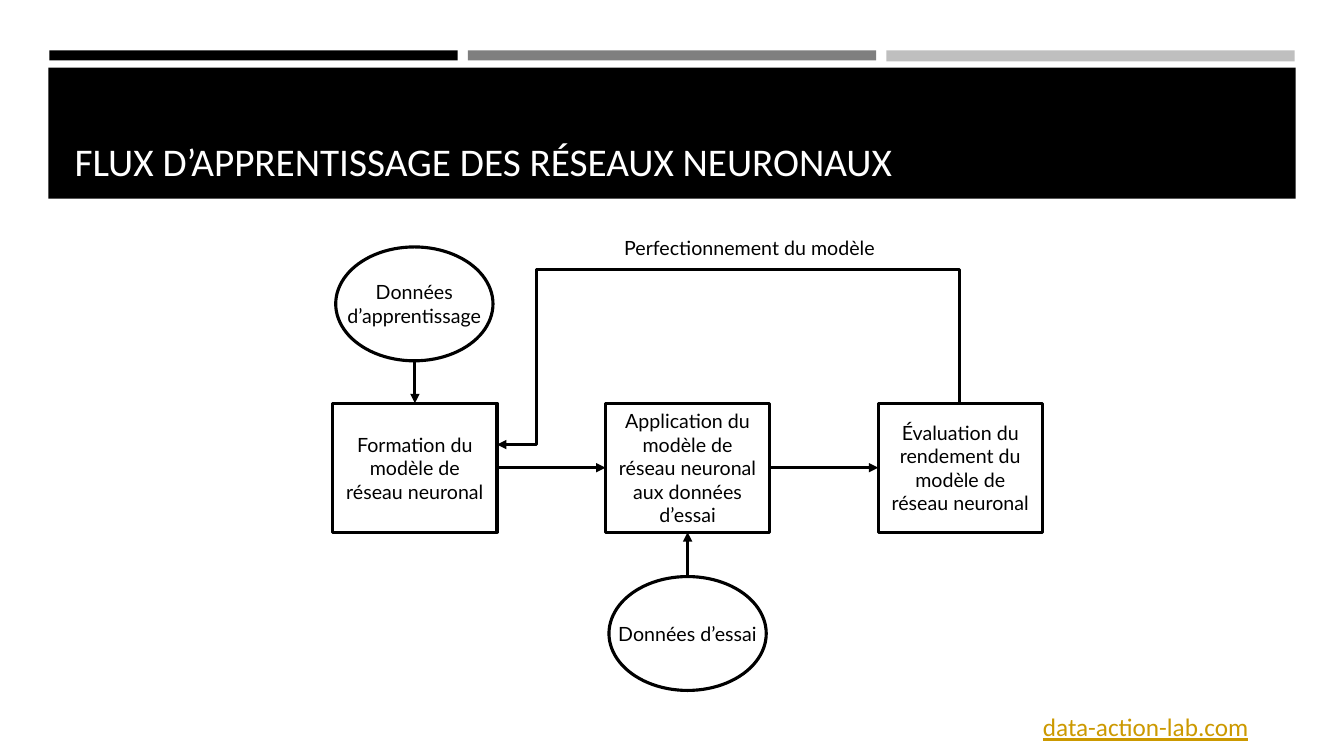
from lxml import etree
from pptx import Presentation
from pptx.dml.color import RGBColor
from pptx.enum import shapes, text
from pptx.oxml import ns
from pptx.util import Inches, Pt


def paint(target, color):
    if hasattr(target, "solid"):
        target.solid()
        target.fore_color.rgb = RGBColor.from_string(color)
    else:
        target.rgb = RGBColor.from_string(color)


def style_arrow(arrow):
    paint(arrow.line.fill, "000000")
    arrow.line.width = Pt(2.25)
    properties = arrow._element.spPr
    line = properties.find(ns.qn("a:ln"))
    etree.SubElement(line, ns.qn("a:tailEnd"), type="triangle")
    etree.SubElement(properties, ns.qn("a:effectLst"))


deck = Presentation()
deck.slide_width = Inches(13.33)
deck.slide_height = Inches(7.5)
page = deck.slides.add_slide(deck.slide_layouts[5])
tree = page.shapes

banner = [
    (0.49, 0.5, 4.05, 0.1, "000000"),
    (4.64, 0.5, 4.05, 0.1, "7F7F7F"),
    (8.79, 0.5, 4.05, 0.11, "BFBFBF"),
    (0.48, 0.67, 12.37, 1.3, "000000"),
]
for left, top, width, height, color in banner:
    bar = tree.add_shape(shapes.MSO_SHAPE.RECTANGLE, Inches(left), Inches(top),
                         Inches(width), Inches(height))
    bar.shadow.inherit = False
    paint(bar.fill, color)
    bar.line.fill.background()

title = tree.title
bar._element.addnext(title._element)
title.left, title.top = Inches(0.64), Inches(0.77)
title.width, title.height = Inches(12.06), Inches(1.11)
title.text_frame.text = "FLUX D’APPRENTISSAGE DES RÉSEAUX NEURONAUX"
title.text_frame.vertical_anchor = text.MSO_ANCHOR.BOTTOM

site = tree.add_textbox(Inches(9.88), Inches(7.01), Inches(2.6), Inches(0.4))
site.text_frame.word_wrap = True
site.text_frame.text = "data-action-lab.com"

caption = tree.add_textbox(Inches(5.12), Inches(2.29), Inches(4.63), Inches(0.34))
caption.text_frame.word_wrap = True
caption.text_frame.text = "Perfectionnement du modèle"

labels = [
    (title, 28, "Calibri", "FFFFFF", text.PP_ALIGN.LEFT),
    (site, 18, "Calibri", "CC9900", text.PP_ALIGN.RIGHT),
    (caption, 14, "Lato", "000000", text.PP_ALIGN.CENTER),
]

steps = [
    "Formation du modèle de réseau neuronal",
    "Application du modèle de réseau neuronal\vaux données d’essai",
    "Évaluation du rendement du modèle de réseau neuronal",
]
nodes = [(shapes.MSO_SHAPE.RECTANGLE, 3.3 + 2.705 * index, 4, 1.63, 1.28, words)
         for index, words in enumerate(steps)]
nodes += [
    (shapes.MSO_SHAPE.OVAL, 3.33, 2.45, 1.56, 1.13, "Données\vd’apprentissage"),
    (shapes.MSO_SHAPE.OVAL, 6.04, 5.72, 1.56, 1.13, "Données d’essai"),
]
boxes = []
for kind, left, top, width, height, words in nodes:
    box = tree.add_shape(kind, Inches(left), Inches(top), Inches(width), Inches(height))
    box.shadow.inherit = False
    paint(box.fill, "FFFFFF")
    paint(box.line.fill, "000000")
    box.line.width = Pt(2.25)
    box.text_frame.text = words
    box.text_frame.word_wrap = kind == shapes.MSO_SHAPE.RECTANGLE
    box.text_frame.vertical_anchor = text.MSO_ANCHOR.MIDDLE
    boxes.append(box)
    labels.append((box, 14, "Lato", "000000", text.PP_ALIGN.CENTER))

for label, size, font, color, alignment in labels:
    for para in label.text_frame.paragraphs:
        para.alignment = alignment
        for span in para.runs:
            span.font.size = Pt(size)
            span.font.name = font
            paint(span.font.color, color)
            span.font.underline = label is site

training, application, evaluation, training_data, test_data = boxes

for source, target in [(training, application), (application, evaluation)]:
    arrow = tree.add_connector(shapes.MSO_CONNECTOR.STRAIGHT, 0, 0, 0, 0)
    arrow.begin_connect(source, 3)
    arrow.end_connect(target, 1)
    style_arrow(arrow)

for source, edge, target, side in [
    (training_data, training_data.top + training_data.height, training, 0),
    (test_data, test_data.top, application, 2),
]:
    middle = target.left + target.width // 2
    arrow = tree.add_connector(shapes.MSO_CONNECTOR.STRAIGHT, middle, edge, middle, target.top)
    arrow.end_connect(target, side)
    style_arrow(arrow)

feedback = tree.add_connector(shapes.MSO_CONNECTOR.ELBOW, Inches(7.02), Inches(1.91),
                              Inches(7.43), Inches(6.5))
frame = feedback._element.spPr.find(ns.qn("a:xfrm"))
for name, value in [("rot", "16200000"), ("flipH", "1"), ("flipV", "1")]:
    frame.set(name, value)
geometry = feedback._element.spPr.find(ns.qn("a:prstGeom"))
geometry.set("prst", "bentConnector4")
guides = geometry.find(ns.qn("a:avLst"))
for name, value in [("adj1", -324700), ("adj2", 91500)]:
    etree.SubElement(guides, ns.qn("a:gd"), name=name, fmla=f"val {value}")
style_arrow(feedback)

deck.save("out.pptx")
